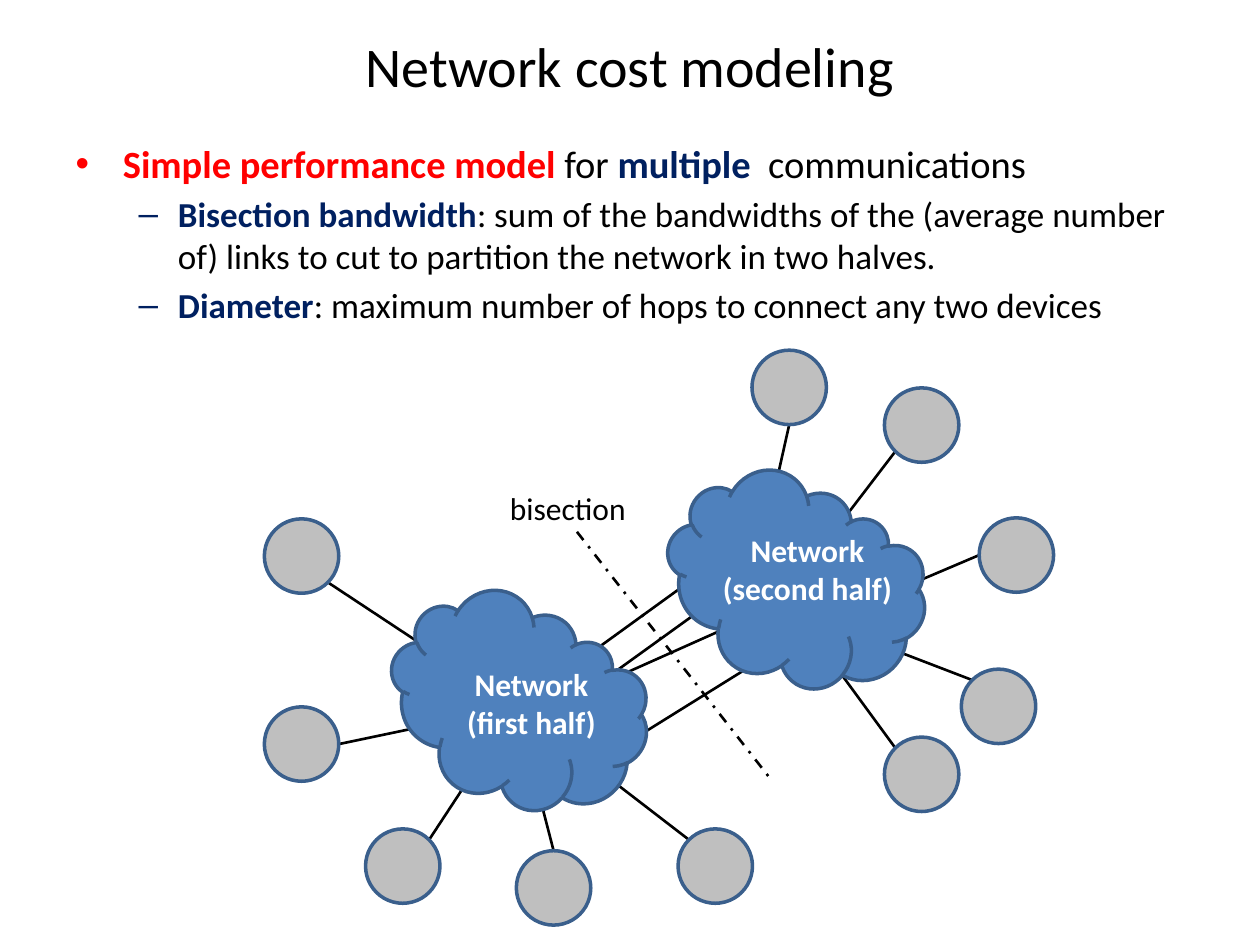
import math

import pptx
import pptx.dml.color
import pptx.enum.dml
import pptx.enum.shapes
import pptx.enum.text
import pptx.oxml.ns
import pptx.util
from lxml import etree
from pptx.util import Cm

Color = pptx.dml.color.RGBColor.from_string
Shape = pptx.enum.shapes.MSO_SHAPE
Align = pptx.enum.text.PP_ALIGN
Fit = pptx.enum.text.MSO_AUTO_SIZE
Anchor = pptx.enum.text.MSO_ANCHOR

THEME = {
    "font": "Calibri",
    "ink": "000000", "red": "FF0000", "navy": "002060", "white": "FFFFFF",
    "cloud": "4F81BD", "node": "BFBFBF", "edge": "3A5F8C",
    "title": 32, "body": [22, 20], "label": 18,
    "link": 1.5, "rim": 2,
}

# All lengths are in centimetres.
TITLE = "Network cost modeling"
TITLE_BOX = (1.27, 0.43, 22.86, 1.78)
BODY_BOX = (1.27, 2.69, 22.86, 4.37)

# Level, then runs of text and colour; coloured terms are bold.
BODY = [
    (0, [("Simple performance model", "red"), (" for ", "ink"),
         ("multiple", "navy"), ("  communications", "ink")]),
    (1, [("Bisection bandwidth", "navy"),
         (": sum of the bandwidths of the (average number of) links "
          "to cut to partition the network in two halves.", "ink")]),
    (1, [("Diameter", "navy"),
         (": maximum number of hops to connect any two devices", "ink")]),
]

NODE = 1.5
CLOUD = (5.23, 4.06)
HUB = (10.41, 14.25)

# Corner of the node, angle on its rim where the link starts, link end.
NODES = [
    ((15.16, 7.06), 90, (15.16, 11.91)),
    ((17.83, 7.82), 135, (15.57, 12.34)),
    ((19.74, 10.44), 180, (16, 12.78)),
    ((19.38, 13.49), 225, (15.9, 12.29)),
    ((17.83, 14.86), 225, (16.33, 12.73)),
    ((5.33, 10.46), 45, HUB),
    ((5.33, 14.25), 0, HUB),
    ((7.37, 16.71), 315, HUB),
    ((10.41, 17.15), 270, HUB),
    ((13.67, 16.71), 225, HUB),
]
CROSS = [
    ((10.82, 14.68), (15.37, 11.4)),
    (HUB, (14.94, 10.97)),
    ((11.15, 14.22), (15.47, 12.29)),
    ((12.67, 14.96), (16.43, 12.62)),
]
CLOUDS = [((7.8, 12.19), 40.9), ((13.39, 9.75), 39)]
CUT = ((11.63, 10.72), (15.57, 15.75))
LABELS = [
    (["Network", "(first half)"], (9.14, 13.28, 3.15, 1.8), "white"),
    (["Network", "(second half)"], (14.3, 10.59, 3.96, 1.8), "white"),
    (["bisection"], (10.03, 9.73, 2.87, 1.02), "ink"),
]


def place(shape, box):
    shape.left, shape.top, shape.width, shape.height = map(Cm, box)


def style(para, size, color=None, bold=None):
    font = para.font
    font.name, font.size = THEME["font"], pptx.util.Pt(size)
    font.bold = bold
    if color:
        font.color.rgb = Color(THEME[color])


def add_line(slide, start, end):
    line = slide.shapes.add_connector(
        pptx.enum.shapes.MSO_CONNECTOR.STRAIGHT, *map(Cm, start + end))
    line.line.color.rgb = Color(THEME["ink"])
    line.line.width = pptx.util.Pt(THEME["link"])
    props = line._element.spPr
    etree.SubElement(props, pptx.oxml.ns.qn("a:effectLst"))
    return line


def add_link(slide, start, end):
    """Draw a line with an arrowhead at its end."""
    edge = add_line(slide, start, end).line._get_or_add_ln()
    etree.SubElement(edge, pptx.oxml.ns.qn("a:tailEnd"), type="triangle")


def add_form(slide, kind, corner, size, fill, turn=0):
    form = slide.shapes.add_shape(kind, *map(Cm, corner + size))
    form.rotation = turn
    form.shadow.inherit = False
    form.fill.solid()
    form.fill.fore_color.rgb = Color(THEME[fill])
    form.line.color.rgb = Color(THEME["edge"])
    form.line.width = pptx.util.Pt(THEME["rim"])


def rim_point(corner, angle):
    turn, half = math.radians(angle), NODE / 2
    return (corner[0] + half * (1 + math.cos(turn)),
            corner[1] + half * (1 + math.sin(turn)))


def add_label(slide, lines, box, color):
    frame = slide.shapes.add_textbox(*map(Cm, box)).text_frame
    frame.word_wrap = False
    frame.auto_size = Fit.SHAPE_TO_FIT_TEXT
    frame.text = "\n".join(lines)
    pair = len(lines) > 1
    for para in frame.paragraphs:
        para.alignment = Align.CENTER if pair else Align.LEFT
        style(para, THEME["label"], color, pair)


def fill_title(shape):
    place(shape, TITLE_BOX)
    frame = shape.text_frame
    frame.text = TITLE
    frame.auto_size = Fit.NONE
    frame.vertical_anchor = Anchor.MIDDLE
    para = frame.paragraphs[0]
    para.alignment = Align.CENTER
    style(para, THEME["title"], "ink")


def fill_body(shape):
    place(shape, BODY_BOX)
    frame = shape.text_frame
    frame.auto_size = Fit.NONE
    for spot, (level, runs) in enumerate(BODY):
        para = frame.add_paragraph() if spot else frame.paragraphs[0]
        para.level = level
        if not spot:
            para.space_before = 0
        style(para, THEME["body"][level])
        for text, color in runs:
            run = para.add_run()
            run.text = text
            run.font.bold = color != "ink"
            run.font.color.rgb = Color(THEME[color])


def main():
    deck = pptx.Presentation()
    deck.slide_width, deck.slide_height = Cm(25.4), Cm(19.05)
    slide = deck.slides.add_slide(deck.slide_layouts[1])
    fill_title(slide.shapes.title)
    fill_body(slide.placeholders[1])

    for start, end in CROSS:
        add_link(slide, start, end)
    for corner, angle, end in NODES:
        add_link(slide, rim_point(corner, angle), end)
    for corner, turn in CLOUDS:
        add_form(slide, Shape.CLOUD, corner, CLOUD, "cloud", turn)
    for corner, _, _ in NODES:
        add_form(slide, Shape.OVAL, corner, (NODE, NODE), "node")

    cut = add_line(slide, *CUT)
    cut.line.dash_style = pptx.enum.dml.MSO_LINE.DASH_DOT
    for lines, box, color in LABELS:
        add_label(slide, lines, box, color)
    deck.save("out.pptx")


if __name__ == "__main__":
    main()
